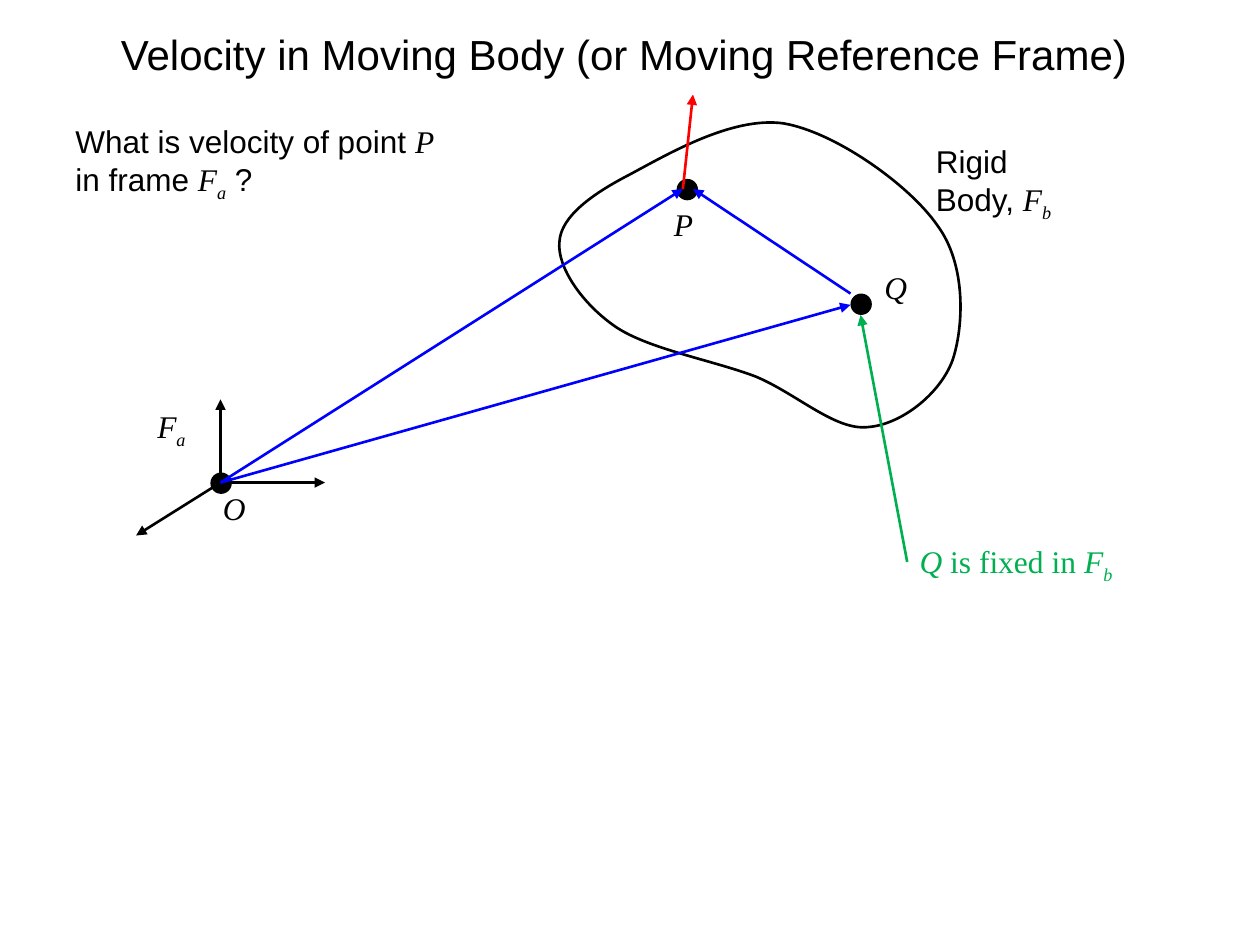
from lxml import etree
from pptx import Presentation
from pptx.dml.color import RGBColor
from pptx.enum import shapes, text
from pptx.oxml.ns import qn
from pptx.util import Inches, Pt

BLACK, BLUE, RED, GREEN = "000000", "0000FF", "FF0000", "00B050"
SANS, SERIF = "Arial", "Times New Roman"

# Run styles: font, italic, subscript
PLAIN = (SANS, False, False)
ROMAN = (SERIF, False, False)
VAR = (SERIF, True, False)
SUB = (SERIF, True, True)

ORIGIN = (1.75, 3.83)
P_TIP = (5.42, 1.5)
DOTS = [(6.75, 2.33), (1.67, 3.75), (5.37, 1.42)]

AXIS_ENDS = [(1.08, 4.25), (1.75, 3.17), (2.58, 3.83)]
VECTORS = [
    (ORIGIN, (6.75, 2.42), BLUE),
    ((6.75, 2.33), (5.5, 1.5), BLUE),
    (ORIGIN, P_TIP, BLUE),
    (P_TIP, (5.5, 0.75), RED),
    ((7.2, 4.46), (6.83, 2.5), GREEN),
]

# Start point, then two control points and an end point per curve
BODY_OUTLINE = [
    (4.99, 1.39),
    (5.29, 1.23), (5.81, 0.92), (6.22, 0.98),
    (6.63, 1.05), (7.22, 1.47), (7.44, 1.79),
    (7.67, 2.1), (7.65, 2.59), (7.56, 2.86),
    (7.46, 3.13), (7.15, 3.37), (6.89, 3.39),
    (6.63, 3.42), (6.33, 3.13), (6, 2.99),
    (5.66, 2.86), (5.14, 2.77), (4.88, 2.59),
    (4.62, 2.41), (4.42, 2.12), (4.44, 1.92),
    (4.45, 1.72), (4.7, 1.54), (4.99, 1.39),
]

# Left, top, width, height, wrap, colour, runs
LABELS = [
    (1.15, 3.18, 0.44, 0.4, False, BLACK, [("F", VAR), ("a", SUB)]),
    (7.33, 1.08, 1.33, 0.7, True, BLACK,
     [("Rigid Body, ", PLAIN), ("F", VAR), ("b", SUB)]),
    (1.67, 3.83, 0.38, 0.4, False, BLACK, [("O", VAR)]),
    (6.92, 2.08, 0.38, 0.4, False, BLACK, [("Q", VAR)]),
    (5.25, 1.58, 0.35, 0.4, False, BLACK, [("P", VAR)]),
    (0.5, 0.92, 3.17, 0.7, True, BLACK,
     [("What is velocity of point ", PLAIN), ("P", VAR),
      (" in frame ", PLAIN), ("F", VAR), ("a", SUB), (" ?", PLAIN)]),
    (7.2, 4.25, 1.8, 0.4, False, GREEN,
     [("Q", VAR), (" is fixed in ", ROMAN), ("F", VAR), ("b", SUB)]),
]


def rgb(hex_color):
    return RGBColor.from_string(hex_color)


def set_line(line, color):
    line.color.rgb = rgb(color)
    line.width = Pt(1.5)


def set_title(s, title):
    sp = s.shapes.title
    sp.left, sp.top = Inches(0.86), Inches(0.18)
    sp.width, sp.height = Inches(8.36), Inches(0.5)
    tf = sp.text_frame
    tf.text = title
    tf.word_wrap = False
    tf.auto_size = text.MSO_AUTO_SIZE.SHAPE_TO_FIT_TEXT
    tf.vertical_anchor = text.MSO_ANCHOR.TOP
    p = tf.paragraphs[0]
    p.alignment = text.PP_ALIGN.LEFT
    p.font.name, p.font.size = SANS, Pt(24)
    p.font.color.rgb = rgb(BLACK)


def add_label(s, left, top, width, height, wrap, color, runs):
    sp = s.shapes.add_textbox(*map(Inches, (left, top, width, height)))
    tf = sp.text_frame
    tf.word_wrap = wrap
    tf.auto_size = text.MSO_AUTO_SIZE.SHAPE_TO_FIT_TEXT
    p = tf.paragraphs[0]
    p.font.size = Pt(18)
    p.font.color.rgb = rgb(color)
    for words, (font, italic, subscript) in runs:
        r = p.add_run()
        r.text = words
        r.font.name, r.font.italic = font, italic
        if subscript:
            r.font._element.set("baseline", "-25000")


def add_arrow(s, start, end, color):
    cx = s.shapes.add_connector(shapes.MSO_CONNECTOR.STRAIGHT,
                                *map(Inches, start + end))
    set_line(cx.line, color)
    ln = cx.line._get_or_add_ln()
    etree.SubElement(ln, qn("a:tailEnd"), type="triangle")
    etree.SubElement(cx._element.spPr, qn("a:effectLst"))


def add_dot(s, left, top):
    size = Inches(0.17)
    sp = s.shapes.add_shape(shapes.MSO_SHAPE.OVAL,
                            Inches(left), Inches(top), size, size)
    sp.shadow.inherit = False
    sp.fill.solid()
    sp.fill.fore_color.rgb = rgb(BLACK)
    sp.line.fill.background()


def add_curved_outline(s, points):
    """Build a polygon through the points, then turn each three segments into a Bézier curve."""
    start, *rest = [(Inches(x), Inches(y)) for x, y in points]
    builder = s.shapes.build_freeform(*start)
    builder.add_line_segments(rest, close=True)
    sp = builder.convert_to_shape()
    segments = list(sp._element.iter(qn("a:lnTo")))
    for i in range(0, len(rest), 3):
        curve = etree.Element(qn("a:cubicBezTo"))
        segments[i].addprevious(curve)
        for segment in segments[i:i + 3]:
            curve.append(segment[0])
            segment.getparent().remove(segment)
    sp.shadow.inherit = False
    sp.fill.background()
    set_line(sp.line, BLACK)


def main():
    prs = Presentation()
    prs.slide_width, prs.slide_height = Inches(10), Inches(7.5)
    s = prs.slides.add_slide(prs.slide_layouts[5])
    set_title(s, "Velocity in Moving Body (or Moving Reference Frame)")
    for end in AXIS_ENDS:
        add_arrow(s, ORIGIN, end, BLACK)
    add_curved_outline(s, BODY_OUTLINE)
    for dot in DOTS:
        add_dot(s, *dot)
    for vector in VECTORS:
        add_arrow(s, *vector)
    for label in LABELS:
        add_label(s, *label)
    prs.save("out.pptx")


if __name__ == "__main__":
    main()
